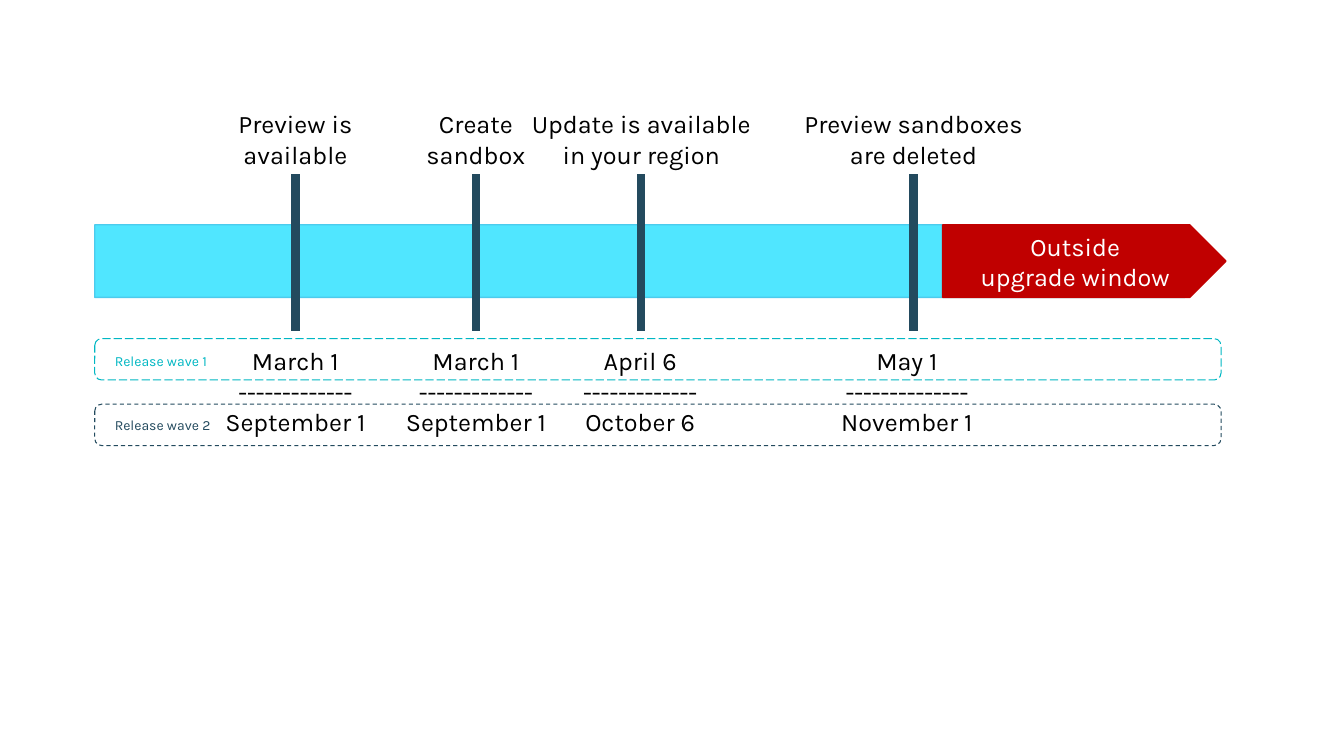
from pptx import Presentation
from pptx.dml.color import RGBColor as Rgb
from pptx.enum.dml import MSO_LINE as Dash
from pptx.enum.shapes import MSO_CONNECTOR as Link, MSO_SHAPE as Form
from pptx.enum.text import MSO_ANCHOR as Anchor, MSO_AUTO_SIZE as Auto, PP_ALIGN as Align
from pptx.oxml.ns import qn
from pptx.util import Inches, Pt
from lxml import etree

CYAN, EDGE, NAVY, TEAL, RED = "50E6FF", "4CCBED", "234A5E", "00B7C3", "C00000"
LEFT, WIDE = 7.05, 83.8
BAR, TALL = 29.73, 9.6
MARKS = [
    (21.98, "Preview is available", 11.33, 21.98, 13.5, ("March 1", 13, "September 1")),
    (67.97, "Preview sandboxes are deleted", 18.15, 67.48, 14.63, ("May 1", 14, "November 1")),
    (35.41, "Create sandbox", 11.33, 35.41, 13.5, ("March 1", 13, "September 1")),
    (47.71, "Update is available in your region", 18, 47.64, 21.3, ("April 6", 13, "October 6")),
]
WAVES = [
    ("Release wave 1", TEAL, Dash.LONG_DASH, 44.8, 46),
    ("Release wave 2", NAVY, Dash.DASH, 53.47, 54.4),
]


def tint(code):
    return Rgb.from_string(code)


def write(frame, text, size=18, color="000000", align=Align.CENTER, font="Karla"):
    frame.word_wrap = True
    frame.text = text
    for para in frame.paragraphs:
        para.alignment = align
        for run in para.runs:
            run.font.name = font
            run.font.size = Pt(size)
            run.font.color.rgb = tint(color)


class Board:
    """Draws on one slide, with lengths in percent of its width and height."""

    def __init__(self):
        self.deck = Presentation()
        self.deck.slide_width = Inches(13.33)
        self.deck.slide_height = Inches(7.5)
        self.slide = self.deck.slides.add_slide(self.deck.slide_layouts[6])

    def spot(self, x, y):
        return int(self.deck.slide_width * x / 100), int(self.deck.slide_height * y / 100)

    def shape(self, form, x, y, w, h, line, fill=None, width=1, dash=None):
        item = self.slide.shapes.add_shape(form, *self.spot(x, y), *self.spot(w, h))
        item.shadow.inherit = False
        if fill:
            item.fill.solid()
            item.fill.fore_color.rgb = tint(fill)
        else:
            item.fill.background()
        item.line.color.rgb = tint(line)
        item.line.width = Pt(width)
        if dash:
            item.line.dash_style = dash
        return item

    def label(self, text, x, y, w, h, **style):
        box = self.slide.shapes.add_textbox(*self.spot(x, y), *self.spot(w, h))
        write(box.text_frame, text, **style)
        box.text_frame.auto_size = Auto.SHAPE_TO_FIT_TEXT

    def post(self, x, top, end):
        rod = self.slide.shapes.add_connector(Link.STRAIGHT, *self.spot(x, top), *self.spot(x, end))
        rod.line.color.rgb = tint(NAVY)
        rod.line.width = Pt(6)
        etree.SubElement(rod._element.spPr, qn("a:effectLst"))

    def mark(self, x, title, wide, mid, span, dates):
        first, count, last = dates
        self.post(x, 23.07, 43.73)
        self.label(title, x - wide / 2, 13.73, wide, 9.47)
        self.label("\n".join((first, "-" * count, last)), mid - span / 2, 45.07, span, 13.47)

    def wave(self, name, color, dash, top, text_top):
        self.shape(Form.ROUNDED_RECTANGLE, LEFT, top, WIDE, 5.47, color, width=0.75, dash=dash)
        self.label(name, 7.8, text_top, 14.93, 3.6, size=10, color=color, align=Align.LEFT)


def main():
    board = Board()
    board.shape(Form.PENTAGON, LEFT, BAR, WIDE, TALL, EDGE, fill=CYAN)
    for mark in MARKS:
        board.mark(*mark)
    for wave in WAVES:
        board.wave(*wave)
    arrow = board.shape(Form.PENTAGON, 70.14, BAR, 21.08, TALL, RED, fill=RED)
    write(arrow.text_frame, "Outside\vupgrade window", color="FFFFFF")
    arrow.text_frame.vertical_anchor = Anchor.MIDDLE
    board.deck.save("out.pptx")


if __name__ == "__main__":
    main()
